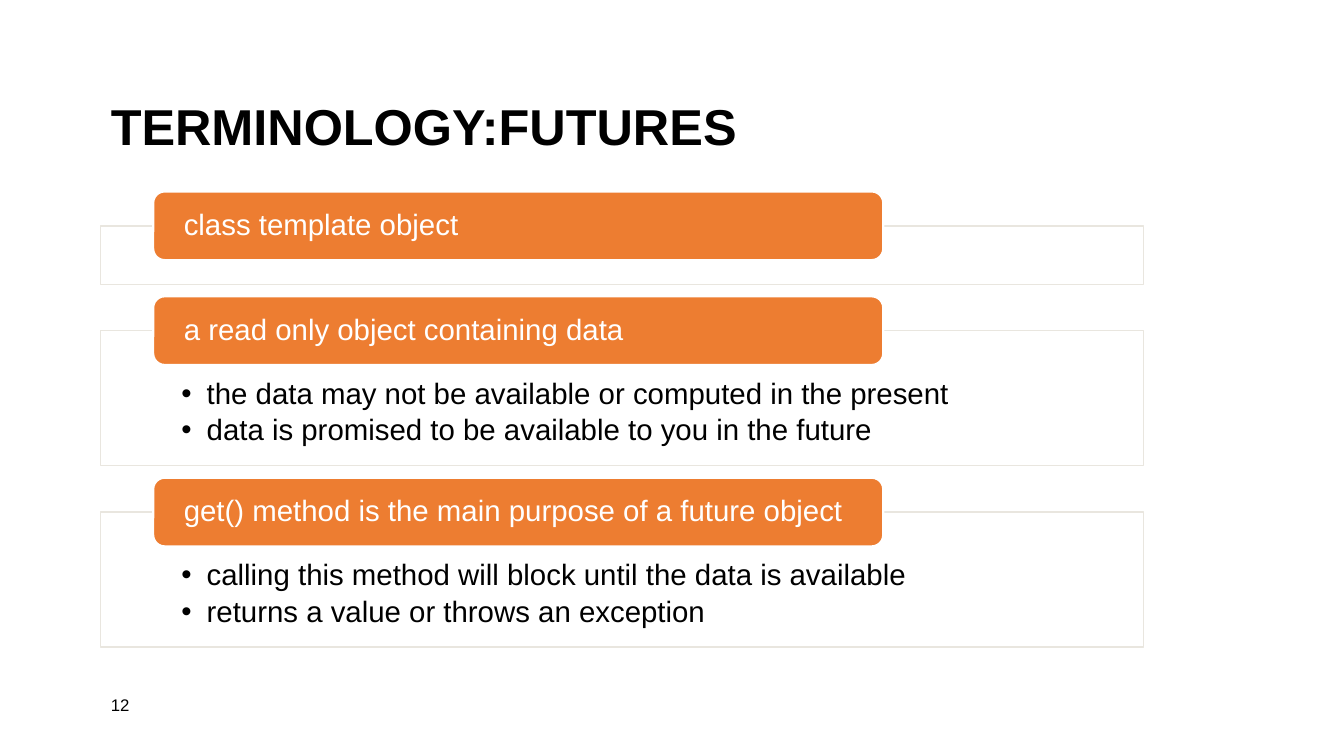
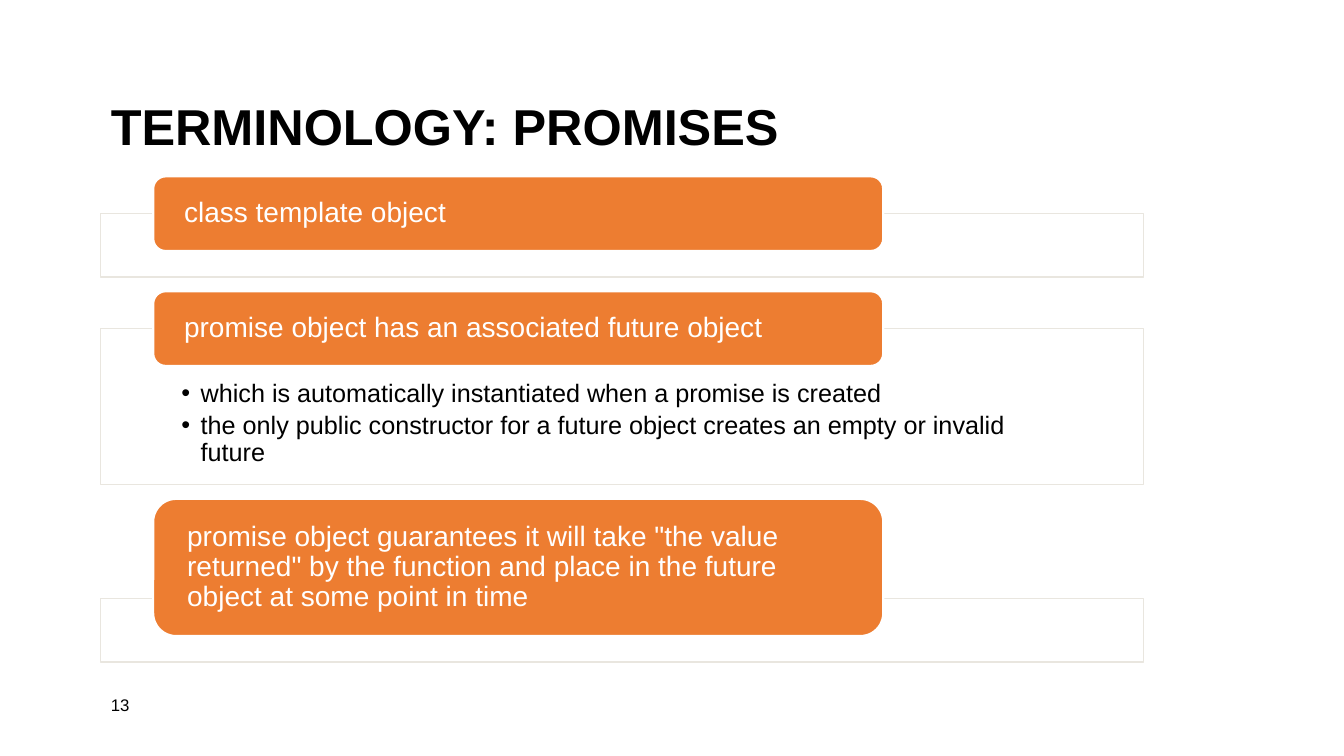
from dataclasses import dataclass

from lxml.etree import SubElement
from pptx import Presentation
from pptx.dml.color import RGBColor
from pptx.enum.shapes import MSO_SHAPE
from pptx.enum.text import MSO_ANCHOR, PP_ALIGN
from pptx.oxml.ns import qn
from pptx.util import Inches, Pt

COLORS = {"text": "000000", "header": "ED7D31", "paper": "FFFFFF", "rule": "E9E6DF"}
FONT = "Arial"
LEFT = 1.0
PANEL_WIDTH = 10.34
HEADER_LEFT, HEADER_WIDTH = 1.52, 7.24
LINE_SPACING = 0.9


@dataclass(frozen=True)
class Section:
    header: str
    header_height: float
    panel_height: float
    bullets: tuple[str, ...] = ()


@dataclass(frozen=True)
class Topic:
    title: str
    number: int
    top: float
    overlap: float  # how far each header reaches into its panel
    gap: float
    header_size: int
    bullet_size: int
    bullet_indent: float
    panel_insets: tuple[float, float, float, float]
    sections: tuple[Section, ...]


TOPICS = (
    Topic(
        "TERMINOLOGY:FUTURES", 12, 1.9, 0.34, 0.12, 21, 21, 0.25, (0.8, 0.48, 0.8, 0.16),
        (
            Section("class template object", 0.68, 0.58),
            Section("a read only object containing data", 0.68, 1.34, (
                "the data may not be available or computed in the present",
                "data is promised to be available to you in the future",
            )),
            Section("get() method is the main purpose of a future object", 0.68, 1.34, (
                "calling this method will block until the data is available",
                "returns a value or throws an exception",
            )),
        ),
    ),
    Topic(
        "TERMINOLOGY: PROMISES", 13, 1.75, 0.37, 0.14, 20, 18, 0.19, (0.8, 0.52, 0.8, 0.14),
        (
            Section("class template object", 0.74, 0.63),
            Section("promise object has an associated future object", 0.74, 1.55, (
                "which is automatically instantiated when a promise is created",
                "the only public constructor for a future object creates an empty or invalid future",
            )),
            Section(
                'promise object guarantees it will take "the value returned" by the function '
                "and place in the future object at some point in time", 1.36, 0.63,
            ),
        ),
    ),
)


def color(name: str) -> RGBColor:
    return RGBColor.from_string(COLORS[name])


def style_paragraph(para, size: int, color_name: str, bold: bool = False,
                    line_spacing: float = LINE_SPACING) -> None:
    para.alignment = PP_ALIGN.LEFT
    para.line_spacing = line_spacing
    font = para.font
    font.name, font.size, font.bold = FONT, Pt(size), bold
    font.color.rgb = color(color_name)


def set_frame(frame, anchor, insets: tuple[float, float, float, float]) -> None:
    """Wrap the text and apply left, top, right and bottom insets."""
    frame.word_wrap = True
    frame.vertical_anchor = anchor
    left, top, right, bottom = map(Inches, insets)
    frame.margin_left, frame.margin_top = left, top
    frame.margin_right, frame.margin_bottom = right, bottom


def add_label(page, text: str, top: float, width: float, height: float, size: int,
              bold: bool = False, line_spacing: float = LINE_SPACING) -> None:
    box = page.shapes.add_textbox(Inches(LEFT), Inches(top), Inches(width), Inches(height))
    set_frame(box.text_frame, MSO_ANCHOR.MIDDLE, (0.1, 0.05, 0.1, 0.05))
    para = box.text_frame.paragraphs[0]
    para.text = text
    style_paragraph(para, size, "text", bold, line_spacing)


def add_block(page, preset, left: float, top: float, width: float, height: float,
              fill: str, line: str, line_width: float):
    block = page.shapes.add_shape(
        preset, Inches(left), Inches(top), Inches(width), Inches(height))
    block.shadow.inherit = False
    block.fill.solid()
    block.fill.fore_color.rgb = color(fill)
    block.line.color.rgb = color(line)
    block.line.width = Pt(line_width)
    return block


def add_bullet(para, indent: float) -> None:
    properties = para._p.get_or_add_pPr()
    properties.set("marL", str(Inches(indent)))
    properties.set("indent", str(-Inches(indent)))
    SubElement(properties, qn("a:buFont")).set("typeface", FONT)
    SubElement(properties, qn("a:buChar")).set("char", "•")


def add_panel(page, topic: Topic, section: Section, top: float) -> None:
    panel = add_block(page, MSO_SHAPE.RECTANGLE, LEFT, top, PANEL_WIDTH,
                      section.panel_height, "paper", "rule", 1)
    fill_color = panel.fill._xPr.find(qn("a:solidFill"))[0]
    SubElement(fill_color, qn("a:alpha")).set("val", "90000")
    if not section.bullets:
        return
    frame = panel.text_frame
    set_frame(frame, MSO_ANCHOR.TOP, topic.panel_insets)
    for index, bullet in enumerate(section.bullets):
        para = frame.add_paragraph() if index else frame.paragraphs[0]
        para.text = bullet
        add_bullet(para, topic.bullet_indent)
        style_paragraph(para, topic.bullet_size, "text")
        para.space_after = Pt(0.16 * topic.bullet_size)


def add_header(page, topic: Topic, section: Section, top: float) -> None:
    header = add_block(page, MSO_SHAPE.ROUNDED_RECTANGLE, HEADER_LEFT, top, HEADER_WIDTH,
                       section.header_height, "header", "paper", 1.5)
    set_frame(header.text_frame, MSO_ANCHOR.MIDDLE, (0.27, 0, 0.27, 0))
    para = header.text_frame.paragraphs[0]
    para.text = section.header
    style_paragraph(para, topic.header_size, "paper")


def add_topic(deck, topic: Topic) -> None:
    page = deck.slides.add_slide(deck.slide_layouts[6])
    add_label(page, topic.title, 0.86, 11.42, 0.85, 36, bold=True)
    add_label(page, str(topic.number), 6.83, 0.69, 0.32, 12, line_spacing=1.0)
    header_top = topic.top
    for section in topic.sections:
        panel_top = header_top + section.header_height - topic.overlap
        add_panel(page, topic, section, panel_top)
        add_header(page, topic, section, header_top)
        header_top = panel_top + section.panel_height + topic.gap


def main() -> None:
    deck = Presentation()
    deck.slide_width, deck.slide_height = Inches(13.33), Inches(7.5)
    for topic in TOPICS:
        add_topic(deck, topic)
    deck.save("out.pptx")


if __name__ == "__main__":
    main()
